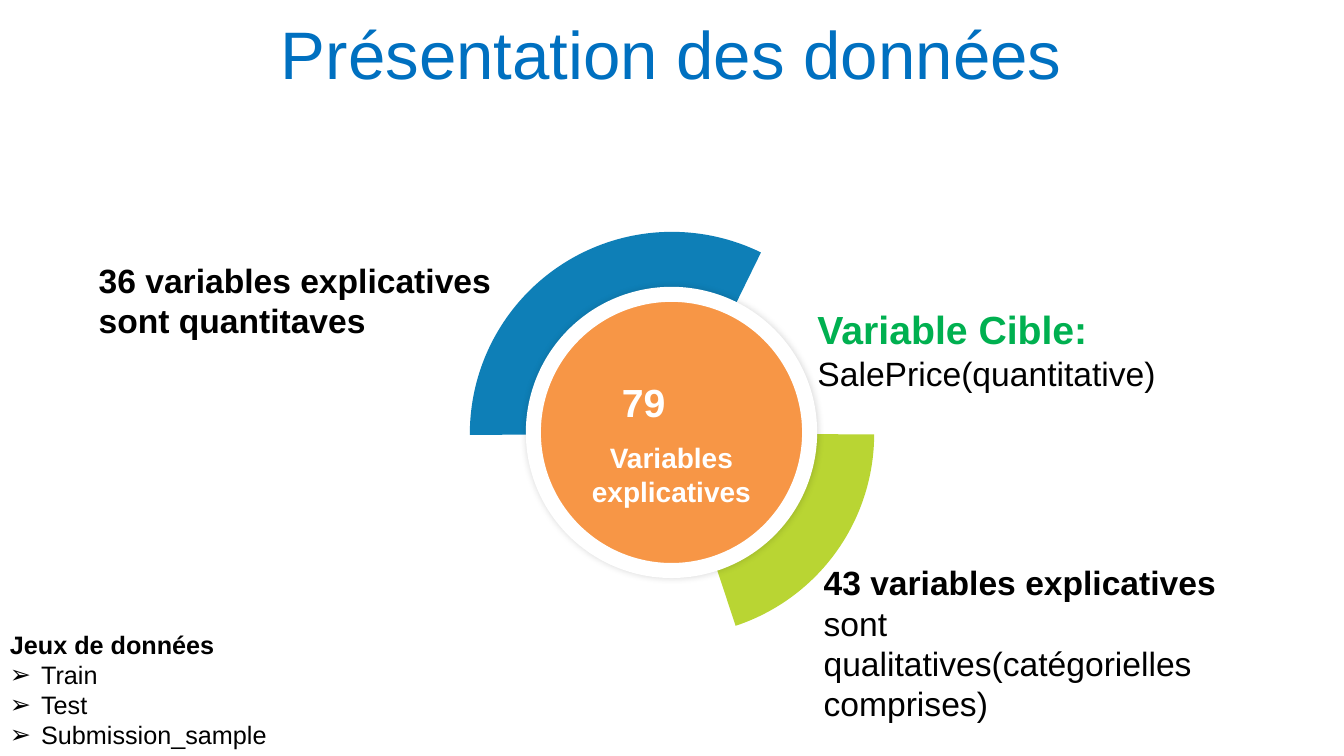
from dataclasses import dataclass

from lxml import etree
from pptx import Presentation
from pptx.dml.color import RGBColor
from pptx.enum.shapes import MSO_SHAPE
from pptx.enum.text import MSO_ANCHOR, MSO_AUTO_SIZE, PP_ALIGN
from pptx.oxml.ns import qn
from pptx.util import Pt

PIE = MSO_SHAPE.PIE
OVAL = MSO_SHAPE.OVAL
CENTER = PP_ALIGN.CENTER
MIDDLE = MSO_ANCHOR.MIDDLE
FIT_SHAPE = MSO_AUTO_SIZE.SHAPE_TO_FIT_TEXT

EMU_PER_PX = 9144
PIE_UNITS_PER_DEGREE = 0.6
BULLET_INDENT = 31


@dataclass(frozen=True)
class Theme:
    font: str = "Arial"
    title_color: str = "0070C0"
    quantitative: str = "0E7FB7"
    qualitative: str = "B9D533"
    hub: str = "F79646"
    target: str = "00B050"
    ink: str = "000000"
    paper: str = "FFFFFF"
    title: int = 48
    heading: int = 28
    body: int = 24
    hub_label: int = 20
    small: int = 18


THEME = Theme()


def px(value):
    return value * EMU_PER_PX


def box(left, top, width, height):
    return px(left), px(top), px(width), px(height)


def style_font(font, size, color, bold):
    font.name = THEME.font
    font.size = Pt(size)
    font.color.rgb = RGBColor.from_string(color)
    font.bold = bold


def add_text(shapes, bounds, text, size, color=THEME.ink, bold=False, align=None):
    label = shapes.add_textbox(*box(*bounds))
    frame = label.text_frame
    frame.word_wrap = True
    frame.auto_size = FIT_SHAPE
    paragraph = frame.paragraphs[0]
    paragraph.text = text
    paragraph.alignment = align
    style_font(paragraph.font, size, color, bold)
    return frame


def add_title(shapes, bounds, text):
    frame = add_text(shapes, bounds, text, THEME.title, THEME.title_color, align=CENTER)
    frame.auto_size = MSO_AUTO_SIZE.NONE
    frame.vertical_anchor = MIDDLE
    frame.paragraphs[0].line_spacing = 0.9
    frame.paragraphs[0].space_before = Pt(10)


def add_lead_text(shapes, bounds, lead, lead_size, lead_color, detail):
    frame = add_text(shapes, bounds, "", THEME.body)
    paragraph = frame.paragraphs[0]
    for text, size, color, bold in (
        (lead, lead_size, lead_color, True),
        (detail, THEME.body, THEME.ink, False),
    ):
        run = paragraph.add_run()
        run.text = text
        style_font(run.font, size, color, bold)


def add_bulleted_list(shapes, bounds, heading, items):
    frame = add_text(shapes, bounds, heading, THEME.small, bold=True)
    for item in items:
        paragraph = frame.add_paragraph()
        paragraph.text = item
        properties = paragraph._p.get_or_add_pPr()
        properties.set("marL", str(px(BULLET_INDENT)))
        properties.set("indent", str(-px(BULLET_INDENT)))
        etree.SubElement(properties, qn("a:buFont"), typeface=THEME.font)
        etree.SubElement(properties, qn("a:buChar"), char="➢")
        style_font(paragraph.font, THEME.small, THEME.ink, False)


def add_filled_shape(shapes, kind, bounds, color):
    shape = shapes.add_shape(kind, *box(*bounds))
    shape.shadow.inherit = False
    shape.fill.solid()
    shape.fill.fore_color.rgb = RGBColor.from_string(color)
    shape.line.fill.background()
    return shape


def add_sector(shapes, bounds, color, start, end, rotation=0):
    sector = add_filled_shape(shapes, PIE, bounds, color)
    for index, angle in enumerate((start, end)):
        sector.adjustments[index] = angle * PIE_UNITS_PER_DEGREE
    sector.rotation = rotation


def add_hub(shapes, bounds):
    hub = add_filled_shape(shapes, OVAL, bounds, THEME.hub)
    hub.line.color.rgb = RGBColor.from_string(THEME.paper)
    hub.line.width = Pt(10.75)
    effects = hub._element.spPr.find(qn("a:effectLst"))
    shadow = etree.SubElement(
        effects, qn("a:outerShdw"), blurRad=str(Pt(5)), dist="0", dir="0"
    )
    shade = etree.SubElement(shadow, qn("a:srgbClr"), val=THEME.ink)
    etree.SubElement(shade, qn("a:alpha"), val="14000")


def add_variables_wheel(shapes):
    wheel = shapes.add_group_shape().shapes
    rim = (466, 230, 401, 401)
    add_sector(wheel, rim, THEME.qualitative, 180.1, 251.66, rotation=180)
    add_sector(wheel, rim, THEME.quantitative, 179.72, 296.12)
    add_hub(wheel, (529, 292, 274, 274))
    add_text(wheel, (563, 432, 206, 77), "Variables explicatives",
             THEME.hub_label, THEME.paper, True, CENTER)


def main():
    presentation = Presentation()
    presentation.slide_width = px(1333)
    presentation.slide_height = px(750)
    shapes = presentation.slides.add_slide(presentation.slide_layouts[6]).shapes

    add_title(shapes, (33, 18, 1266, 79), "Présentation des données")
    add_variables_wheel(shapes)
    add_text(shapes, (607, 370, 153, 57), "79", THEME.heading, THEME.paper, True)
    add_text(shapes, (88, 253, 412, 91),
             "36 variables explicatives sont quantitaves", THEME.body, bold=True)
    add_lead_text(shapes, (807, 553, 452, 172), "43 variables explicatives ",
                  THEME.body, THEME.ink, "sont qualitatives(catégorielles comprises)")
    add_lead_text(shapes, (801, 298, 387, 98), "Variable Cible: ",
                  THEME.heading, THEME.target, "SalePrice(quantitative)")
    add_bulleted_list(shapes, (0, 619, 337, 131), "Jeux de données",
                      ("Train", "Test", "Submission_sample"))
    presentation.save("out.pptx")


if __name__ == "__main__":
    main()
